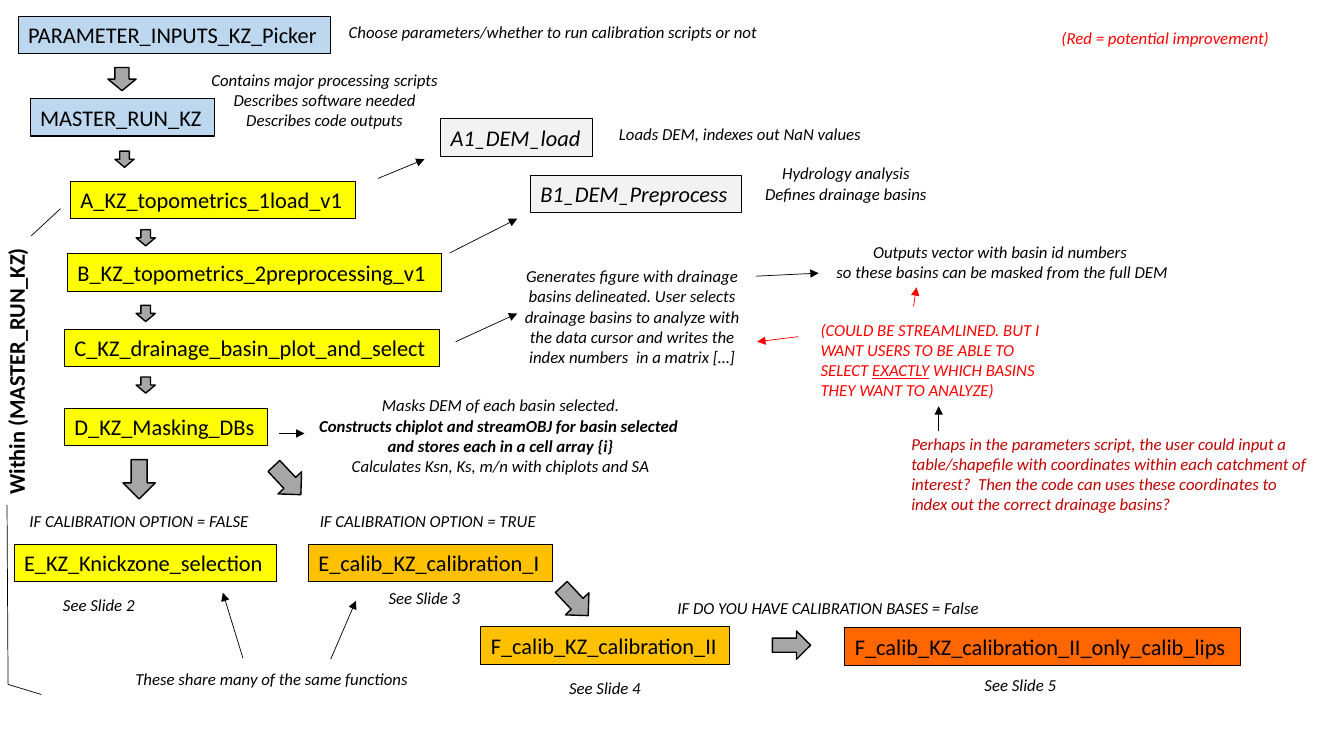
from pptx import Presentation
from pptx.dml.color import RGBColor
from pptx.enum.shapes import MSO_CONNECTOR as Link, MSO_SHAPE as Preset
from pptx.enum.text import MSO_ANCHOR as Anchor, MSO_AUTO_SIZE as Fit, PP_ALIGN as Align
from pptx.oxml.ns import qn
from pptx.util import Emu, Pt
from lxml.etree import SubElement

PX = 9144
BLACK, RED, DARK_RED = "000000", "FF0000", "C00000"
BLUE, YELLOW, PALE, GREY = "BDD7EE", "FFFF00", "F2F2F2", "A6A6A6"
AMBER, ORANGE = "FFC000", "FF6600"
NE_TURN = 316.8


def px(*lengths):
    """Turn pixel lengths into EMU."""
    return [Emu(length * PX) for length in lengths]


def rgb(value):
    """Return the colour for a hex string."""
    return RGBColor.from_string(value)


def place(box, left, top):
    """Return the page position of a point given relative to a box."""
    return box[0] + left, box[1] + top


def write(shape, text, size=12, color=BLACK, bold=False, italic=False,
          align=Align.LEFT, wrap=False, bold_lines=(), underlined=None):
    """Fill a shape with formatted text, one paragraph per line."""
    frame = shape.text_frame
    frame.word_wrap = wrap
    frame.auto_size = Fit.SHAPE_TO_FIT_TEXT
    frame.vertical_anchor = Anchor.TOP
    for index, line in enumerate(text.split("\n")):
        para = frame.add_paragraph() if index else frame.paragraphs[0]
        para.alignment = align
        for piece in line.partition(underlined) if underlined else [line]:
            span = para.add_run()
            span.text = piece
            font = span.font
            font.name, font.size = "Calibri", Pt(size)
            font.color.rgb = rgb(color)
            font.bold = bold or index in bold_lines
            font.italic = italic
            font.underline = piece == underlined


def paint(shape, fill, width):
    """Give a shape a plain fill and a black outline."""
    shape.shadow.inherit = False
    shape.fill.solid()
    shape.fill.fore_color.rgb = rgb(fill)
    shape.line.color.rgb = rgb(BLACK)
    shape.line.width = Pt(width)


def script_box(page, box, left, top, width, text, fill, **style):
    """Draw a filled box that names a script."""
    shape = page.shapes.add_shape(Preset.RECTANGLE, *px(*place(box, left, top), width, 37))
    paint(shape, fill, 0.75)
    write(shape, text, size=16, **style)


def note(page, box, left, top, width, height, text, align=Align.CENTER, **style):
    """Place an italic remark."""
    shape = page.shapes.add_textbox(*px(*place(box, left, top), width, height))
    write(shape, text, italic=True, align=align, **style)


def block_arrow(page, box, left, top, width=19, height=16, turn=0):
    """Draw a grey block arrow."""
    shape = page.shapes.add_shape(Preset.DOWN_ARROW, *px(*place(box, left, top), width, height))
    paint(shape, GREY, 1)
    shape.rotation = turn


def thin_line(page, box, start, end, color=BLACK, arrow=True):
    """Draw a thin line, with an arrowhead at its end if wanted."""
    line = page.shapes.add_connector(Link.STRAIGHT, *px(*place(box, *start), *place(box, *end)))
    line.line.color.rgb = rgb(color)
    line.line.width = Pt(0.5)
    properties = line._element.spPr
    if arrow:
        SubElement(properties.find(qn("a:ln")), qn("a:tailEnd"), type="triangle")
    SubElement(properties, qn("a:effectLst"))


def drivers(page, box):
    """Draw the two top-level scripts and their remarks."""
    script_box(page, box, 0, 0, 310, "PARAMETER_INPUTS_KZ_Picker", BLUE)
    note(page, box, 318, 1, 429, 30,
         "Choose parameters/whether to run calibration scripts or not", align=Align.LEFT)
    note(page, box, 1025, 7, 253, 30, "(Red = potential improvement)",
         align=Align.LEFT, color=RED, wrap=True)
    script_box(page, box, 12, 82, 183, "MASTER_RUN_KZ", BLUE)
    note(page, box, 181, 48, 246, 71, "Contains major processing scripts\n"
         "Describes software needed\nDescribes code outputs")
    block_arrow(page, box, 89, 51, 28, 23)
    block_arrow(page, box, 96, 134)


def main_steps(page, box):
    """Draw scripts A to D and the arrows between them."""
    for left, top, width, name in [
            (6, 0, 283, "A_KZ_topometrics_1load_v1"),
            (3, 72, 371, "B_KZ_topometrics_2preprocessing_v1"),
            (0, 147, 372, "C_KZ_drainage_basin_plot_and_select"),
            (0, 225, 201, "D_KZ_Masking_DBs")]:
        script_box(page, box, left, top, width, name, YELLOW)
    for top in (48, 123, 194):
        block_arrow(page, box, 71, top)


def step_outputs(page, box):
    """Draw what scripts A, B and C lead to."""
    script_box(page, box, 62, 0, 151, "A1_DEM_load", PALE, italic=True)
    script_box(page, box, 151, 56, 209, "B1_DEM_Preprocess", PALE, italic=True)
    note(page, box, 228, 0, 262, 30, "Loads DEM, indexes out NaN values")
    note(page, box, 373, 39, 182, 50, "Hydrology analysis\nDefines drainage basins")
    note(page, box, 123, 141, 258, 111, "Generates figure with drainage basins delineated. "
         "User selects drainage basins to analyze with the data cursor and writes the "
         "index numbers  in a matrix […]", wrap=True)
    for start, end in [((0, 59), (46, 40)), ((71, 133), (138, 99)), ((77, 221), (138, 193))]:
        thin_line(page, box, start, end)


def basin_ideas(page, box):
    """Draw the basin output and the suggested improvements."""
    note(page, box, 68, 0, 352, 50, "Outputs vector with basin id numbers \n"
         "so these basins can be masked from the full DEM")
    note(page, box, 54, 77, 253, 111, "(COULD BE STREAMLINED. BUT I WANT USERS TO BE ABLE TO "
         "SELECT EXACTLY WHICH BASINS THEY WANT TO ANALYZE)",
         align=Align.LEFT, color=RED, wrap=True, underlined="EXACTLY")
    note(page, box, 144, 190, 416, 111, "Perhaps in the parameters script, the user could input "
         "a table/shapefile with coordinates within each catchment of interest?  Then the code "
         "can uses these coordinates to index out the correct drainage basins?",
         align=Align.LEFT, color=DARK_RED, wrap=True)
    thin_line(page, box, (0, 39), (62, 36))
    thin_line(page, box, (181, 193), (181, 168))
    thin_line(page, box, (156, 69), (159, 50), RED)
    thin_line(page, box, (42, 99), (1, 104), RED)


def masking(page, box):
    """Explain script D."""
    thin_line(page, box, (0, 43), (25, 43))
    note(page, box, 27, 0, 385, 91, "Masks DEM of each basin selected.\n"
         "Constructs chiplot and streamOBJ for basin selected \n"
         "and stores each in a cell array {i}\n"
         "Calculates Ksn, Ks, m/n with chiplots and SA", bold_lines=(1, 2))


def branches(page, box):
    """Draw the two E scripts chosen by the calibration option."""
    block_arrow(page, box, 108, 0, 32, 39)
    block_arrow(page, box, 255, 1, 32, 39, NE_TURN)
    note(page, box, 4, 46, 240, 30, "IF CALIBRATION OPTION = FALSE")
    note(page, box, 292, 46, 237, 30, "IF CALIBRATION OPTION = TRUE")
    script_box(page, box, 0, 84, 260, "E_KZ_Knickzone_selection", YELLOW)
    script_box(page, box, 292, 84, 242, "E_calib_KZ_calibration_I", AMBER)
    note(page, box, 38, 129, 92, 30, "See Slide 2")
    note(page, box, 361, 122, 92, 30, "See Slide 3")
    note(page, box, 109, 203, 293, 30, "These share many of the same functions")
    thin_line(page, box, (314, 198), (339, 140))
    thin_line(page, box, (227, 197), (207, 132))


def calibration(page, box):
    """Draw the two F scripts."""
    block_arrow(page, box, 77, 0, 32, 39, NE_TURN)
    block_arrow(page, box, 294, 44, 28, 38, 270)
    script_box(page, box, 0, 45, 247, "F_calib_KZ_calibration_II", AMBER)
    script_box(page, box, 361, 46, 392, "F_calib_KZ_calibration_II_only_calib_lips", ORANGE)
    note(page, box, 183, 11, 323, 30, "IF DO YOU HAVE CALIBRATION BASES = False")
    note(page, box, 77, 90, 92, 30, "See Slide 4")
    note(page, box, 489, 87, 92, 30, "See Slide 5")


def master_bracket(page, box):
    """Draw the left bracket and its upright title."""
    title = page.shapes.add_textbox(*px(*place(box, -125, 141), 268, 37))
    title.rotation = 270
    write(title, "Within (MASTER_RUN_KZ)", size=16, bold=True)
    for start, end in [((24, 27), (53, 0)), ((1, 472), (0, 294)), ((34, 482), (1, 472))]:
        thin_line(page, box, start, end, arrow=False)


def main():
    """Build the slide and save it."""
    deck = Presentation()
    deck.slide_width, deck.slide_height = px(1333, 750)
    page = deck.slides.add_slide(deck.slide_layouts[6])
    drivers(page, (18, 16))
    main_steps(page, (64, 180))
    step_outputs(page, (375, 118))
    basin_ideas(page, (750, 235))
    masking(page, (277, 387))
    branches(page, (14, 456))
    calibration(page, (477, 577))
    master_bracket(page, (7, 207))
    deck.save("out.pptx")


if __name__ == "__main__":
    main()
